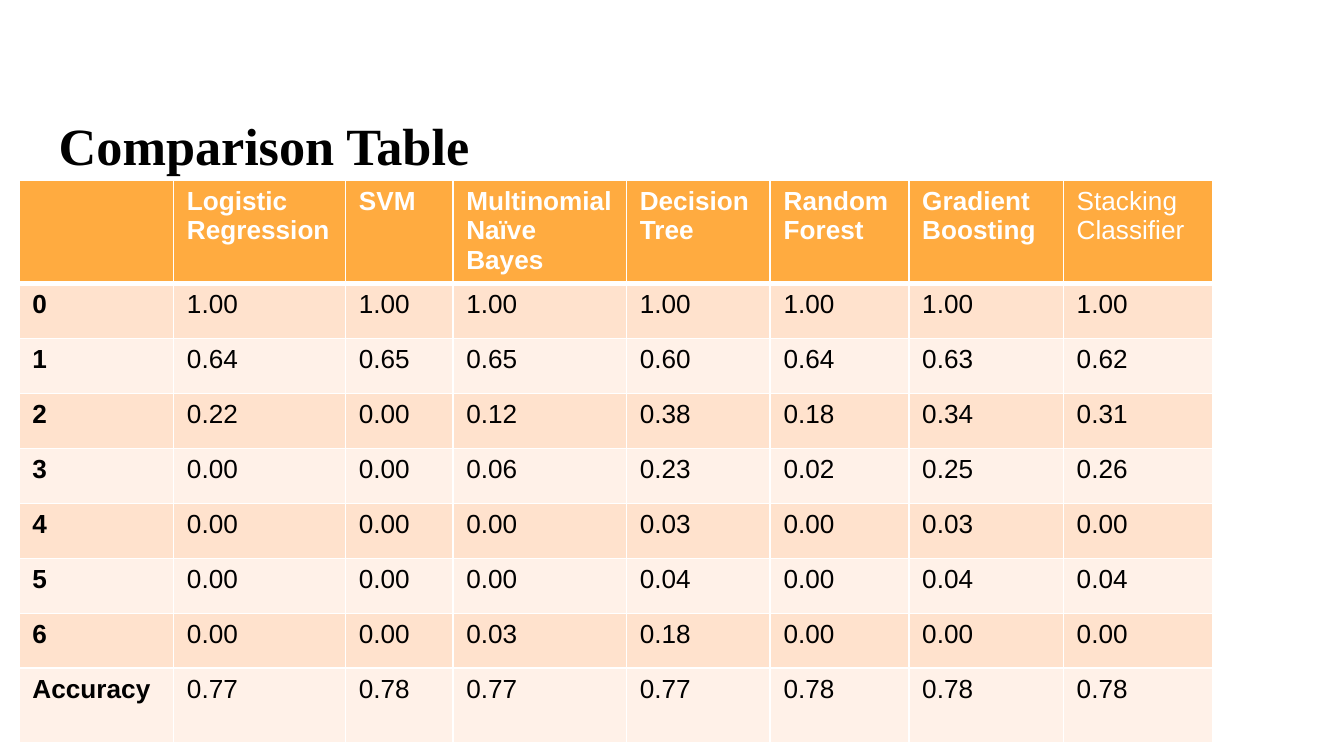
import lxml.etree
import pptx
import pptx.dml.color
import pptx.enum.text
import pptx.oxml.ns
import pptx.util

Cm = pptx.util.Cm
Pt = pptx.util.Pt
RGBColor = pptx.dml.color.RGBColor

BLACK = RGBColor(0x00, 0x00, 0x00)
WHITE = RGBColor(0xFF, 0xFF, 0xFF)
ORANGE = RGBColor(0xFF, 0xAB, 0x40)
PEACH = RGBColor(0xFF, 0xE2, 0xCD)
PALE_PEACH = RGBColor(0xFF, 0xF1, 0xE8)

COLUMN_SHARES = [2.92, 3.25, 2.03, 3.28, 2.72, 2.62, 2.92, 2.82]
ROW_SHARES = [1.96] + [1.04] * 7 + [1.4]
ROWS = [
    ["", "Logistic Regression", "SVM", "Multinomial\nNaïve Bayes", "Decision\nTree",
     "Random\nForest", "Gradient Boosting", "Stacking\nClassifier"],
    ["0", "1.00", "1.00", "1.00", "1.00", "1.00", "1.00", "1.00"],
    ["1", "0.64", "0.65", "0.65", "0.60", "0.64", "0.63", "0.62"],
    ["2", "0.22", "0.00", "0.12", "0.38", "0.18", "0.34", "0.31"],
    ["3", "0.00", "0.00", "0.06", "0.23", "0.02", "0.25", "0.26"],
    ["4", "0.00", "0.00", "0.00", "0.03", "0.00", "0.03", "0.00"],
    ["5", "0.00", "0.00", "0.00", "0.04", "0.00", "0.04", "0.04"],
    ["6", "0.00", "0.00", "0.03", "0.18", "0.00", "0.00", "0.00"],
    ["Accuracy", "0.77", "0.78", "0.77", "0.77", "0.78", "0.78", "0.78"],
]


def format_runs(text_frame, font_name, size, color, bold):
    """Give every run of a text frame the same font."""
    for para in text_frame.paragraphs:
        for span in para.runs:
            span.font.name = font_name
            span.font.size = Pt(size)
            span.font.color.rgb = color
            span.font.bold = bold


def set_borders(cell, widths):
    """Draw white cell borders, with widths in points keyed by side."""
    properties = cell._tc.get_or_add_tcPr()
    qn = pptx.oxml.ns.qn
    for side in "LRTB":
        line = lxml.etree.SubElement(properties, qn(f"a:ln{side}"), w=str(Pt(widths[side])))
        fill = lxml.etree.SubElement(line, qn("a:solidFill"))
        lxml.etree.SubElement(fill, qn("a:srgbClr"), val=str(WHITE))


def place_title(page, left, top, width, height):
    """Put the heading into the title placeholder."""
    title = page.shapes.title
    title.left, title.top, title.width, title.height = left, top, width, height
    frame = title.text_frame
    frame.text = "Comparison Table"
    frame.auto_size = pptx.enum.text.MSO_AUTO_SIZE.NONE
    frame.vertical_anchor = pptx.enum.text.MSO_ANCHOR.BOTTOM
    frame.margin_left = frame.margin_right = Cm(0.25)
    frame.margin_top = frame.margin_bottom = Cm(0.08)
    frame.paragraphs[0].alignment = pptx.enum.text.PP_ALIGN.LEFT
    format_runs(frame, "Times New Roman", 28, BLACK, True)


def place_scores(page, left, top, width, height):
    """Build the score table, sharing the box among columns and rows."""
    table = page.shapes.add_table(len(ROWS), len(ROWS[0]), left, top, width, height).table
    for column, share in zip(table.columns, COLUMN_SHARES):
        column.width = int(width * share / sum(COLUMN_SHARES))
    for row, share in zip(table.rows, ROW_SHARES):
        row.height = int(height * share / sum(ROW_SHARES))
    last_column = len(ROWS[0]) - 1
    for row_index, texts in enumerate(ROWS):
        header = row_index == 0
        band = ORANGE if header else PEACH if row_index % 2 else PALE_PEACH
        widths = {"L": 1, "R": 1, "T": 3 if row_index == 1 else 1, "B": 3 if header else 1}
        for column_index, text in enumerate(texts):
            cell = table.cell(row_index, column_index)
            cell.text_frame.text = text
            bold = column_index < last_column if header else column_index == 0
            format_runs(cell.text_frame, "Arial", 14, WHITE if header else BLACK, bold)
            set_borders(cell, widths)
            cell.fill.solid()
            cell.fill.fore_color.rgb = band


def main():
    """Create the deck and save it."""
    deck = pptx.Presentation()
    deck.slide_width, deck.slide_height = Cm(25.4), Cm(14.29)
    page = deck.slides.add_slide(deck.slide_layouts[5])
    place_title(page, Cm(0.86), Cm(1.8), Cm(23.67), Cm(1.6))
    place_scores(page, Cm(0.36), Cm(3.4), Cm(sum(COLUMN_SHARES)), Cm(sum(ROW_SHARES)))
    deck.save("out.pptx")


if __name__ == "__main__":
    main()
